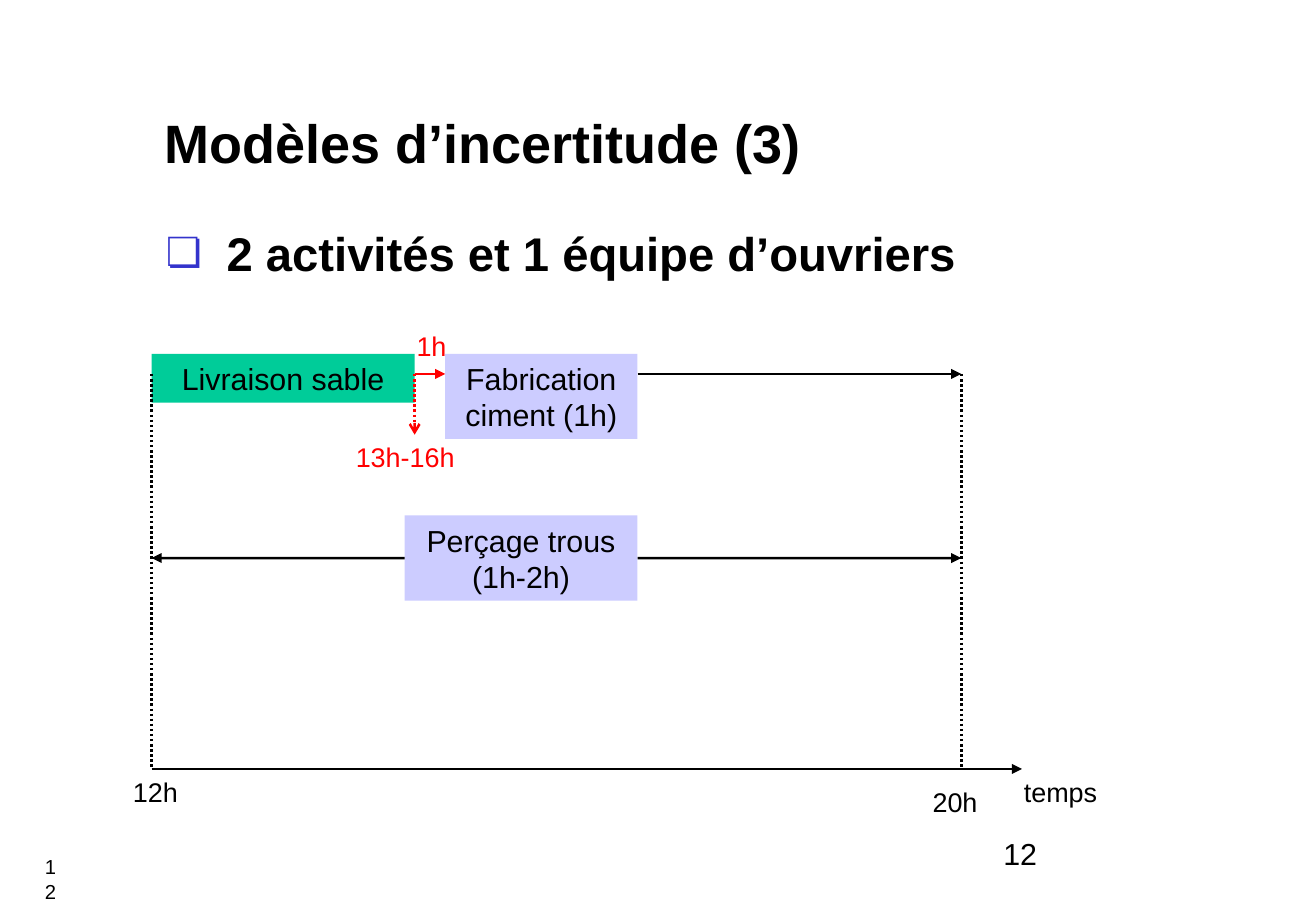
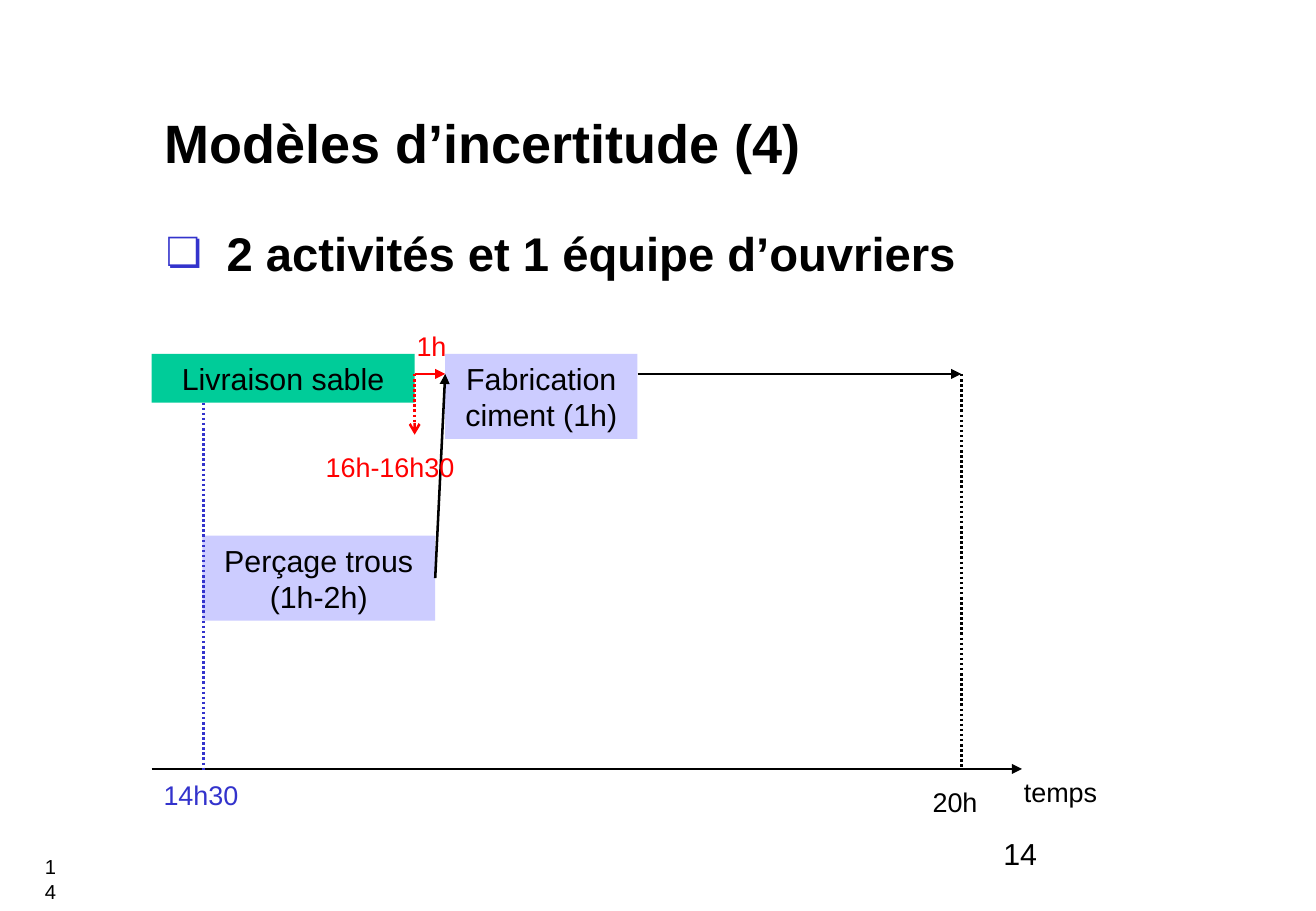
import dataclasses

import pptx
import pptx.dml.color
import pptx.enum.dml
import pptx.enum.shapes
import pptx.enum.text
import pptx.oxml
import pptx.oxml.ns
import pptx.util

Cm = pptx.util.Cm
ALIGN = pptx.enum.text.PP_ALIGN
ANCHOR = pptx.enum.text.MSO_ANCHOR
TOP, LEFT, BOTTOM, RIGHT = range(4)


@dataclasses.dataclass(frozen=True)
class Theme:
    """Colours, font, type sizes and line width shared by the slides."""
    ink: str = "000000"
    red: str = "FF0000"
    blue: str = "3333CC"
    green: str = "00CC99"
    lilac: str = "CCCCFF"
    font: str = "Arial"
    title: float = 32
    body: float = 28
    task: float = 18
    label: float = 16
    small: float = 12
    line: float = 1.5


THEME = Theme()
SLIDE_H = 19.05
SLIDE_W = SLIDE_H * 13 / 9
TITLE_BOX = (3.2, 1.92, 14.35, 2.1)
BODY_BOX = (3.22, 4.56, 17.1, 1.57)
CHART_ORIGIN = (3.17, 6.76)
CORNER_BOX = (0.69, 17.74, 0.61, 0.84)
PAGE_BOX = (20.73, 17.34, 5.74, 1.27)

SAND_END, CEMENT_X, TASK_END, DEADLINE, AXIS_END = 5.5, 6.14, 10.16, 16.93, 18.2
TASK_Y, FLOW_Y, DELAY_Y, AXIS_Y = 0.64, 1.06, 2.33, 9.32
SAND_H, TASK_H, LABEL_H, DRILL_W = 1.02, 1.78, 0.94, 4.87


def rgb(value):
    """Turn a hex string into a colour."""
    return pptx.dml.color.RGBColor.from_string(value)


def set_attrs(obj, values):
    """Set every attribute named in a dict."""
    for name, value in values.items():
        setattr(obj, name, value)


def put_text(shape, text, size, color=THEME.ink, bold=False,
             align=ALIGN.LEFT, anchor=ANCHOR.TOP, bullet=None):
    """Write one formatted paragraph into a shape."""
    tf = shape.text_frame
    set_attrs(tf, {"word_wrap": True, "vertical_anchor": anchor,
                   "auto_size": pptx.enum.text.MSO_AUTO_SIZE.NONE,
                   "margin_left": Cm(0.25), "margin_right": Cm(0.25),
                   "margin_top": Cm(0.13), "margin_bottom": Cm(0.13)})
    p = tf.paragraphs[0]
    p.alignment = align
    if bullet:
        add_bullet(p, bullet)
    r = p.add_run()
    r.text = text
    set_attrs(r.font, {"name": THEME.font, "size": pptx.util.Pt(size), "bold": bold})
    r.font.color.rgb = rgb(color)


def add_bullet(p, char):
    """Give a paragraph a hanging coloured bullet."""
    pr = p._p.get_or_add_pPr()
    pr.set("marL", str(Cm(1.27)))
    pr.set("indent", str(Cm(-1.27)))
    ns = pptx.oxml.ns.nsdecls("a")
    for xml in (f'<a:buClr {ns}><a:srgbClr val="{THEME.blue}"/></a:buClr>',
                f'<a:buSzPct {ns} val="85000"/>',
                f'<a:buFont {ns} typeface="{THEME.font}"/>',
                f'<a:buChar {ns} char="{char}"/>'):
        pr.append(pptx.oxml.parse_xml(xml))


def add_label(s, box, text, size=THEME.label, **style):
    """Add a text box."""
    sp = s.shapes.add_textbox(*map(Cm, box))
    put_text(sp, text, size, **style)


class Timeline:
    """Draws tasks, lines and labels relative to an origin on a slide."""

    def __init__(self, s, origin):
        """Keep the slide and the origin."""
        self.s, (self.x, self.y) = s, origin

    def task(self, x, y, w, h, text, fill=THEME.lilac):
        """Add a task rectangle."""
        sp = self.s.shapes.add_shape(pptx.enum.shapes.MSO_SHAPE.RECTANGLE,
                                     Cm(self.x + x), Cm(self.y + y), Cm(w), Cm(h))
        sp.shadow.inherit = False
        sp.fill.solid()
        sp.fill.fore_color.rgb = rgb(fill)
        sp.line.fill.background()
        put_text(sp, text, THEME.task, align=ALIGN.CENTER)
        return sp

    def line(self, start, end, color=THEME.ink, dotted=False, head=None, join=None):
        """Add a straight line, with an optional arrowhead and joined start."""
        c = self.s.shapes.add_connector(
            pptx.enum.shapes.MSO_CONNECTOR.STRAIGHT,
            Cm(self.x + start[0]), Cm(self.y + start[1]),
            Cm(self.x + end[0]), Cm(self.y + end[1]))
        c.line.width = pptx.util.Pt(THEME.line)
        c.line.color.rgb = rgb(color)
        if dotted:
            c.line.dash_style = pptx.enum.dml.MSO_LINE.ROUND_DOT
        ns = pptx.oxml.ns.nsdecls("a")
        if head:
            c.line._get_or_add_ln().append(
                pptx.oxml.parse_xml(f'<a:tailEnd {ns} type="{head}"/>'))
        c._element.spPr.append(pptx.oxml.parse_xml(f"<a:effectLst {ns}/>"))
        if join:
            c.begin_connect(*join)

    def label(self, x, y, w, text, color=THEME.ink):
        """Add a time label."""
        add_label(self.s, (self.x + x, self.y + y, w, LABEL_H), text, color=color)


def draw_common(t, drill_x, drill_y):
    """Draw the tasks, axis and deadline, and return the drilling task."""
    t.task(0, TASK_Y, SAND_END, SAND_H, "Livraison sable", THEME.green)
    drill = t.task(drill_x, drill_y, DRILL_W, TASK_H, "Perçage trous (1h-2h)")
    t.task(CEMENT_X, TASK_Y, TASK_END - CEMENT_X, TASK_H, "Fabrication ciment (1h)")
    t.line((0, AXIS_Y), (AXIS_END, AXIS_Y), head="triangle")
    t.line((SAND_END, FLOW_Y), (CEMENT_X, FLOW_Y), THEME.red, head="triangle")
    t.line((SAND_END, FLOW_Y), (SAND_END, DELAY_Y), THEME.red, True, "arrow")
    t.line((DEADLINE, FLOW_Y), (DEADLINE, AXIS_Y), dotted=True)
    t.line((TASK_END, FLOW_Y), (DEADLINE, FLOW_Y), head="triangle")
    t.label(17.99, AXIS_Y, 2.34, "temps")
    t.label(16.08, 9.53, 1.48, "20h")
    t.label(5.29, 0, 1.27, "1h", THEME.red)
    return drill


def draw_wide_window(t):
    """Draw drilling free to move between 12h and 20h."""
    x, y = TASK_END - DRILL_W, 4.02
    mid = y + TASK_H / 2
    drill = draw_common(t, x, y)
    t.line((0, FLOW_Y), (0, AXIS_Y), dotted=True)
    t.line((TASK_END, mid), (DEADLINE, mid), head="triangle", join=(drill, RIGHT))
    t.line((x, mid), (0, mid), head="triangle", join=(drill, LEFT))
    t.label(-0.64, AXIS_Y, 1.48, "12h")
    t.label(4.02, DELAY_Y, 2.75, "13h-16h", THEME.red)


def draw_drilling_first(t):
    """Draw drilling from 14h30, ahead of the cement."""
    x, y, release = 1.06, 4.44, 1.09
    drill = draw_common(t, x, y)
    t.line((x + DRILL_W, y + TASK_H / 2), (CEMENT_X, FLOW_Y),
           head="triangle", join=(drill, RIGHT))
    t.line((release, TASK_Y + SAND_H), (release, 9.39), THEME.blue, True)
    t.label(0, 9.39, 2.54, "14h30", THEME.blue)
    t.label(3.39, 2.54, 3.39, "16h-16h30", THEME.red)


def add_slide(prs, title, page, draw):
    """Add a titled slide with its bullet, timeline and page numbers."""
    s = prs.slides.add_slide(prs.slide_layouts[5])
    sp = s.shapes.title
    set_attrs(sp, dict(zip(("left", "top", "width", "height"), map(Cm, TITLE_BOX))))
    put_text(sp, title, THEME.title, bold=True, anchor=ANCHOR.MIDDLE)
    add_label(s, BODY_BOX, "2 activités et 1 équipe d’ouvriers", THEME.body,
              bold=True, bullet="❏")
    draw(Timeline(s, CHART_ORIGIN))
    add_label(s, CORNER_BOX, page, THEME.small, align=ALIGN.CENTER)
    add_label(s, PAGE_BOX, page, THEME.task)


def main():
    """Build and save the presentation."""
    prs = pptx.Presentation()
    set_attrs(prs, {"slide_width": Cm(SLIDE_W), "slide_height": Cm(SLIDE_H)})
    add_slide(prs, "Modèles d’incertitude (3)", "12", draw_wide_window)
    add_slide(prs, "Modèles d’incertitude (4)", "14", draw_drilling_first)
    prs.save("out.pptx")


if __name__ == "__main__":
    main()
